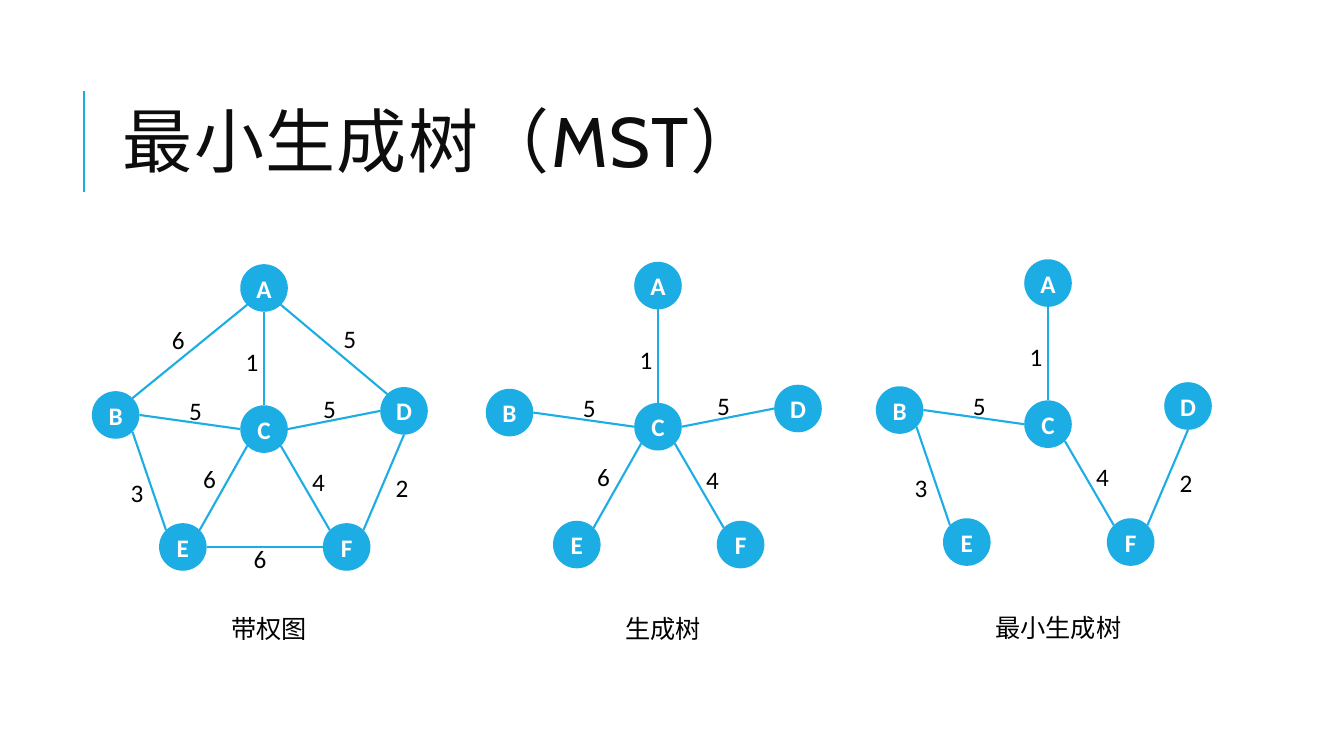
from dataclasses import dataclass
from math import sqrt

from lxml.etree import SubElement
from pptx import Presentation
from pptx.dml.color import RGBColor
from pptx.enum.shapes import MSO_CONNECTOR, MSO_SHAPE
from pptx.enum.text import MSO_ANCHOR, PP_ALIGN
from pptx.oxml.ns import qn
from pptx.util import Pt

TITLE = "最小生成树（MST）"

NODES = {
    "A": (0, 0),
    "B": (-106, 90.7),
    "E": (-58, 185),
    "C": (0, 100.8),
    "D": (100, 87.8),
    "F": (59, 185),
}

EDGES = {
    "AB": ("6", "SW", "NE", (-61.2, 36.9)),
    "BE": ("3", "SE", "NW", (-90.7, 146.4)),
    "AD": ("5", "SE", "NW", (61.2, 36.2)),
    "AC": ("1", "S", "N", (-8.6, 52.8)),
    "DF": ("2", "S", "NE", (98.6, 142.8)),
    "FE": ("6", "W", "E", (-2.9, 193.2)),
    "CE": ("6", "SW", "NE", (-38.9, 136.3)),
    "CF": ("4", "SE", "NW", (38.9, 138.5)),
    "CB": ("5", "W", "E", (-49, 87.3)),
    "CD": ("5", "E", "W", (46.8, 85.9)),
}

GRAPHS = [
    ("带权图", (188.6, 205.7), list(EDGES), (192.2, 449.3)),
    ("生成树", (470, 204), ["AC", "CE", "CF", "CB", "CD"], (473.6, 449.3)),
    ("最小生成树", (748.6, 202.2), ["BE", "AC", "DF", "CF", "CB"], (756, 448.6)),
]


@dataclass(frozen=True)
class Theme:
    accent: RGBColor = RGBColor(0x1C, 0xAD, 0xE4)
    title: RGBColor = RGBColor(0x0D, 0x0D, 0x0D)
    text: RGBColor = RGBColor(0, 0, 0)
    node_text: RGBColor = RGBColor(255, 255, 255)
    title_font: str = "Cabin"
    body_font: str = "Calibri"
    title_size: int = 50
    body_size: int = 18
    line_width: float = 1.5


THEME = Theme()
NODE_SIZE = 34
LABEL_SIZE = (24.5, 29)
CAPTION_PADDING = 15


def style(para, font, size, color, bold=False):
    para.font.name = font
    para.font.size = Pt(size)
    para.font.color.rgb = color
    para.font.bold = bold


def add_line(shapes, start, end):
    line = shapes.add_connector(
        MSO_CONNECTOR.STRAIGHT, *(Pt(value) for value in (*start, *end))
    )
    line.line.color.rgb = THEME.accent
    line.line.width = Pt(THEME.line_width)
    SubElement(line._element.spPr, qn("a:effectLst"))


def add_label(shapes, text, center, width, height):
    box = shapes.add_textbox(
        Pt(center[0] - width / 2), Pt(center[1] - height / 2), Pt(width), Pt(height)
    )
    box.text_frame.word_wrap = False
    para = box.text_frame.paragraphs[0]
    para.text = text
    para.alignment = PP_ALIGN.CENTER
    style(para, THEME.body_font, THEME.body_size, THEME.text)


def add_node(shapes, name, center):
    corner = [Pt(value - NODE_SIZE / 2) for value in center]
    node = shapes.add_shape(MSO_SHAPE.OVAL, *corner, Pt(NODE_SIZE), Pt(NODE_SIZE))
    node.shadow.inherit = False
    node.fill.solid()
    node.fill.fore_color.rgb = THEME.accent
    node.line.fill.background()
    frame = node.text_frame
    frame.margin_left = frame.margin_right = 0
    frame.vertical_anchor = MSO_ANCHOR.MIDDLE
    para = frame.paragraphs[0]
    para.text = name
    para.alignment = PP_ALIGN.CENTER
    style(para, THEME.body_font, THEME.body_size, THEME.node_text, bold=True)


def shifted(origin, offset):
    return origin[0] + offset[0], origin[1] + offset[1]


def rim_point(center, compass):
    across = ("E" in compass) - ("W" in compass)
    down = ("S" in compass) - ("N" in compass)
    reach = NODE_SIZE / 2 / sqrt(across**2 + down**2)
    return shifted(center, (across * reach, down * reach))


def add_graph(page, origin, edges):
    shapes = page.shapes.add_group_shape().shapes
    centers = {name: shifted(origin, offset) for name, offset in NODES.items()}
    for name, center in centers.items():
        add_node(shapes, name, center)
    for edge in edges:
        weight, leave, arrive, offset = EDGES[edge]
        first, second = edge
        add_line(
            shapes,
            rim_point(centers[first], leave),
            rim_point(centers[second], arrive),
        )
        add_label(shapes, weight, shifted(origin, offset), *LABEL_SIZE)


def add_title(page):
    add_line(page.shapes, (60, 136.8), (60, 64.8))
    box = page.shapes.add_textbox(Pt(80.6), Pt(46), Pt(765.4), Pt(118))
    box.text_frame.word_wrap = True
    box.text_frame.vertical_anchor = MSO_ANCHOR.MIDDLE
    para = box.text_frame.paragraphs[0]
    para.line_spacing = 0.8
    span = para.add_run()
    span.text = TITLE
    span.font._element.set("spc", "100")
    style(para, THEME.title_font, THEME.title_size, THEME.title)


def main():
    deck = Presentation()
    deck.slide_width, deck.slide_height = Pt(960), Pt(540)
    page = deck.slides.add_slide(deck.slide_layouts[6])
    add_title(page)
    for caption, origin, edges, caption_center in GRAPHS:
        add_graph(page, origin, edges)
        width = len(caption) * THEME.body_size + CAPTION_PADDING
        add_label(page.shapes, caption, caption_center, width, LABEL_SIZE[1])
    deck.save("out.pptx")


if __name__ == "__main__":
    main()
